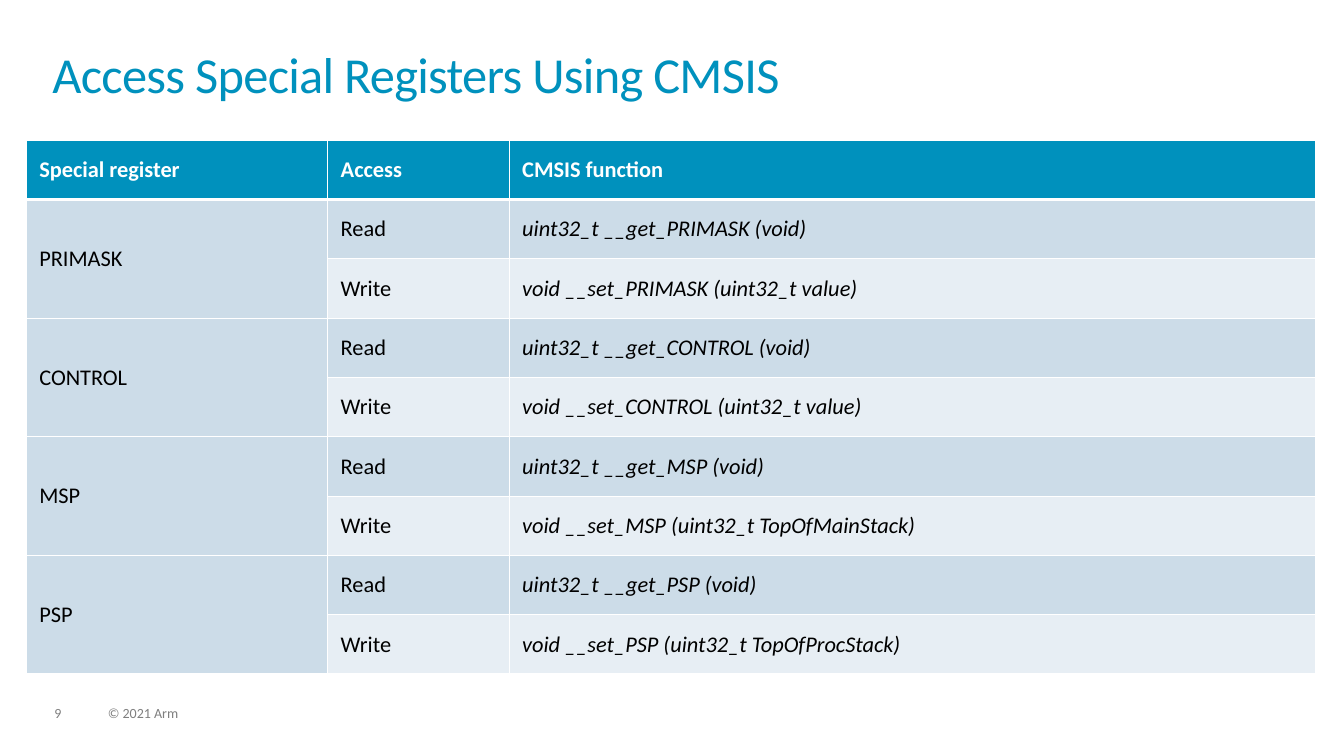
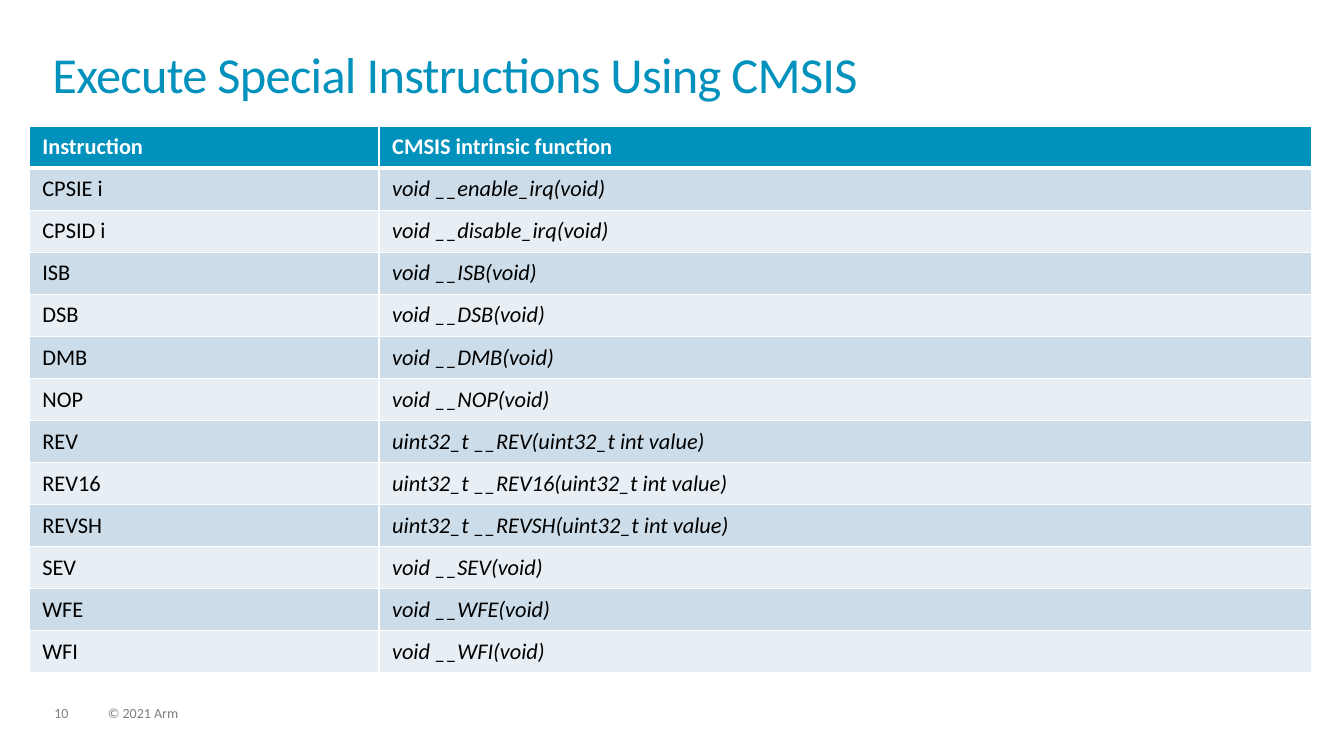
import dataclasses

import lxml.etree
import pptx
import pptx.dml.color
import pptx.enum.text
import pptx.oxml.ns
import pptx.util

Inches = pptx.util.Inches
ANCHOR = pptx.enum.text.MSO_ANCHOR


@dataclasses.dataclass(frozen=True)
class Theme:
    font: str = "Calibri"
    blue: str = "0091BD"
    dark: str = "CCDCE8"
    light: str = "E7EEF4"
    white: str = "FFFFFF"
    black: str = "000000"
    grey: str = "7F7F7F"
    title: int = 36
    body: int = 16
    foot: int = 10
    thin: int = 1
    thick: int = 3


THEME = Theme()

REGS = [
    ("PRIMASK", "value"),
    ("CONTROL", "value"),
    ("MSP", "TopOfMainStack"),
    ("PSP", "TopOfProcStack"),
]

CALLS = [
    ("CPSIE i", "void __enable_irq(void)"),
    ("CPSID i", "void __disable_irq(void)"),
    *[(name, f"void __{name}(void)") for name in ("ISB", "DSB", "DMB", "NOP")],
    *[(name, f"uint32_t __{name}(uint32_t int value)")
      for name in ("REV", "REV16", "REVSH")],
    *[(name, f"void __{name}(void)") for name in ("SEV", "WFE", "WFI")],
]


def rgb(code):
    return pptx.dml.color.RGBColor.from_string(code)


def add_run(para, text, size, color, bold=False, italic=False):
    run = para.add_run()
    run.text = text
    font = run.font
    font.name = THEME.font
    font.size = pptx.util.Pt(size)
    font.color.rgb = rgb(color)
    font.bold = bold
    font.italic = italic
    return run


def clear_frame(frame):
    """Set a top-anchored, wrapping frame without insets."""
    frame.margin_left = frame.margin_right = 0
    frame.margin_top = frame.margin_bottom = 0
    frame.vertical_anchor = ANCHOR.TOP
    frame.word_wrap = True
    frame.auto_size = pptx.enum.text.MSO_AUTO_SIZE.NONE
    para = frame.paragraphs[0]
    para.alignment = pptx.enum.text.PP_ALIGN.LEFT
    return para


def add_title(slide, text, box):
    title = slide.shapes.title
    title.left, title.top, title.width, title.height = map(Inches, box)
    para = clear_frame(title.text_frame)
    para.line_spacing = 0.85
    run = add_run(para, text, THEME.title, THEME.blue)
    run.font._element.set("spc", "-50")


def add_foot(slide, text, box):
    note = slide.shapes.add_textbox(*map(Inches, box))
    para = clear_frame(note.text_frame)
    para.line_spacing = 0.9
    para.space_after = pptx.util.Pt(6)
    add_run(para, text, THEME.foot, THEME.grey)


def add_slide(deck, number, title):
    slide = deck.slides.add_slide(deck.slide_layouts[5])
    add_title(slide, title, (0.52, 0.52, 12.28, 0.72))
    add_foot(slide, str(number), (0.54, 7.01, 0.34, 0.15))
    add_foot(slide, "© 2021 Arm", (1.07, 7.01, 5.07, 0.15))
    return slide


def add_edges(cell, row):
    """Draw white cell borders, thick on the line below the head row."""
    props = cell._tc.get_or_add_tcPr()
    heavy = {0: "lnB", 1: "lnT"}.get(row)
    for side in ("lnL", "lnR", "lnT", "lnB"):
        width = THEME.thick if side == heavy else THEME.thin
        line = lxml.etree.SubElement(
            props, pptx.oxml.ns.qn(f"a:{side}"), w=str(pptx.util.Pt(width)))
        fill = lxml.etree.SubElement(line, pptx.oxml.ns.qn("a:solidFill"))
        lxml.etree.SubElement(
            fill, pptx.oxml.ns.qn("a:srgbClr"), val=THEME.white)


def fill_cell(cell, text, row, last):
    """Style one cell; the last column holds code in italics."""
    head = row == 0
    cell.margin_left = cell.margin_right = Inches(0.13)
    cell.margin_top = cell.margin_bottom = Inches(0.05)
    cell.vertical_anchor = ANCHOR.MIDDLE
    add_edges(cell, row)
    band = THEME.dark if row % 2 else THEME.light
    cell.fill.solid()
    cell.fill.fore_color.rgb = rgb(THEME.blue if head else band)
    if text:
        add_run(cell.text_frame.paragraphs[0], text, THEME.body,
                THEME.white if head else THEME.black,
                bold=head, italic=last and not head)


def add_grid(slide, rows, widths, left, top, height):
    """Add a table with equal rows; a None entry joins the cell above."""
    frame = slide.shapes.add_table(
        len(rows), len(widths), Inches(left), Inches(top),
        Inches(sum(widths)), Inches(height))
    table = frame.table
    for col, width in zip(table.columns, widths):
        col.width = Inches(width)
    for line in table.rows:
        line.height = Inches(height / len(rows))
    for r, texts in enumerate(rows):
        for c, text in enumerate(texts):
            cell = table.cell(r, c)
            fill_cell(cell, text, r, c == len(widths) - 1)
            if text is None:
                table.cell(r - 1, c).merge(cell)


def add_regs(deck):
    slide = add_slide(deck, 9, "Access Special Registers Using CMSIS")
    rows = [("Special register", "Access", "CMSIS function")]
    for name, arg in REGS:
        rows.append((name, "Read", f"uint32_t __get_{name} (void)"))
        rows.append((None, "Write", f"void __set_{name} (uint32_t {arg})"))
    add_grid(slide, rows, (2.99, 1.8, 8), 0.26, 1.39, 5.3)


def add_calls(deck):
    slide = add_slide(deck, 10, "Execute Special Instructions Using CMSIS")
    rows = [("Instruction", "CMSIS intrinsic function"), *CALLS]
    add_grid(slide, rows, (3.47, 9.25), 0.29, 1.25, 5.43)


def main():
    deck = pptx.Presentation()
    deck.slide_width = Inches(13.33)
    deck.slide_height = Inches(7.5)
    add_regs(deck)
    add_calls(deck)
    deck.save("out.pptx")


if __name__ == "__main__":
    main()
